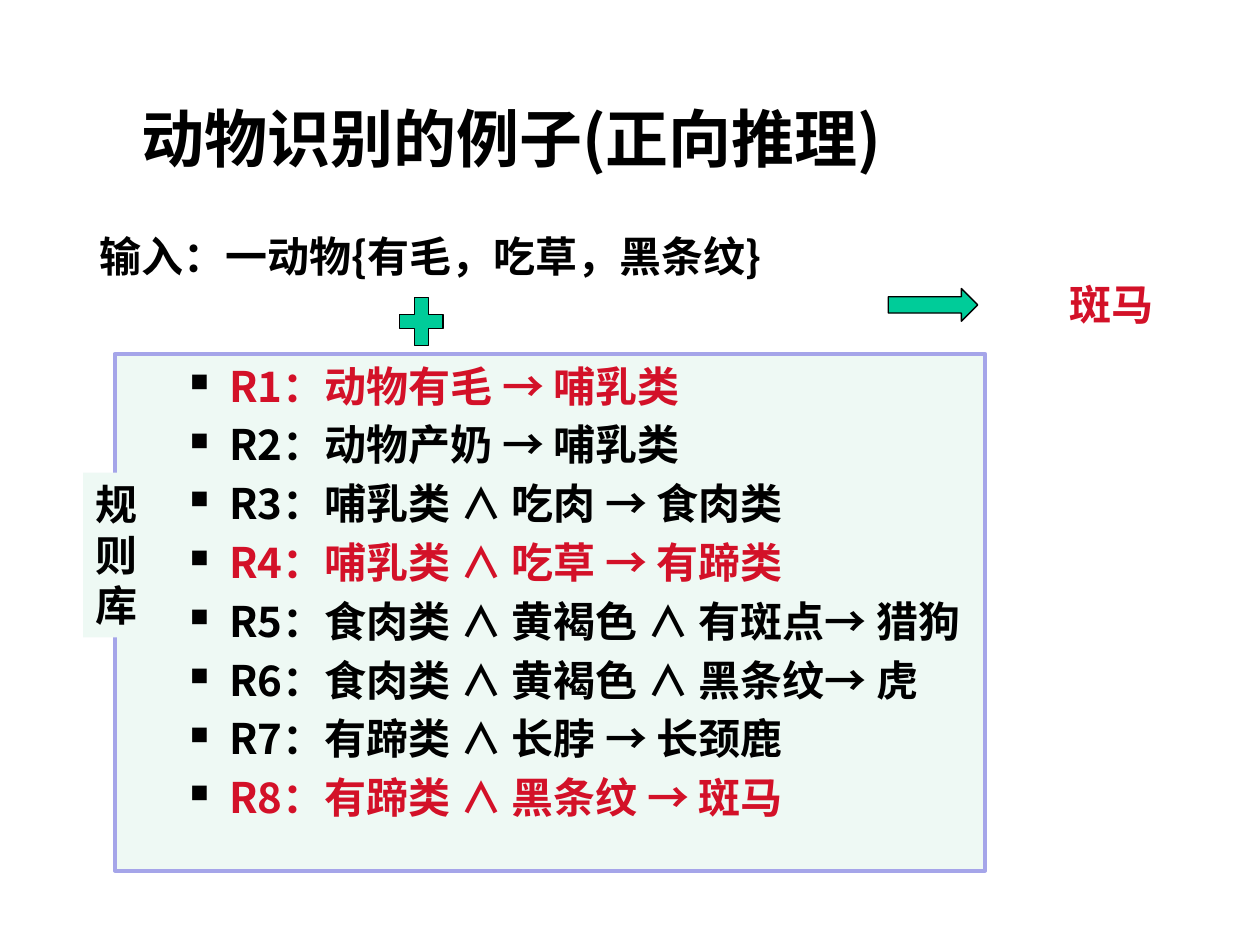
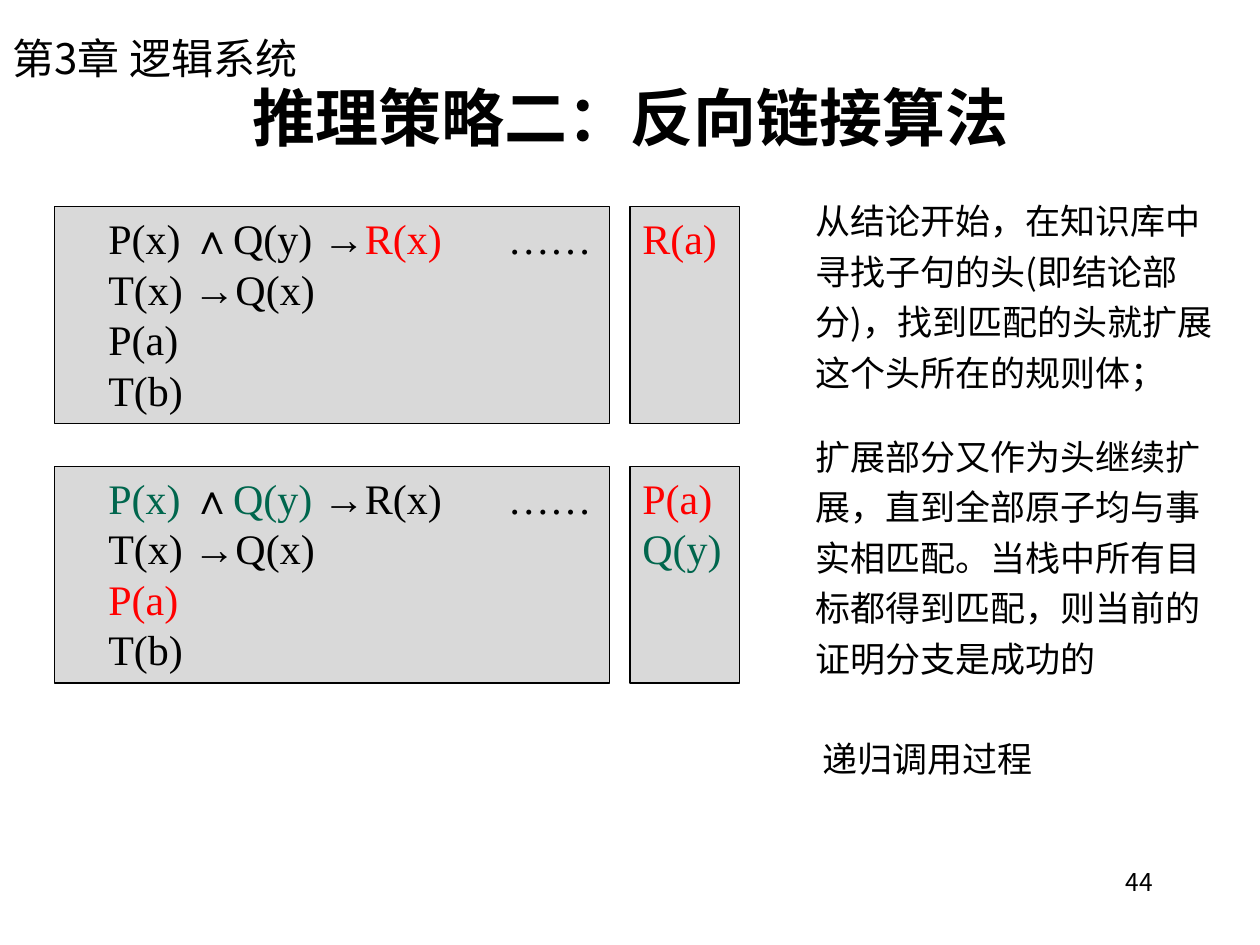
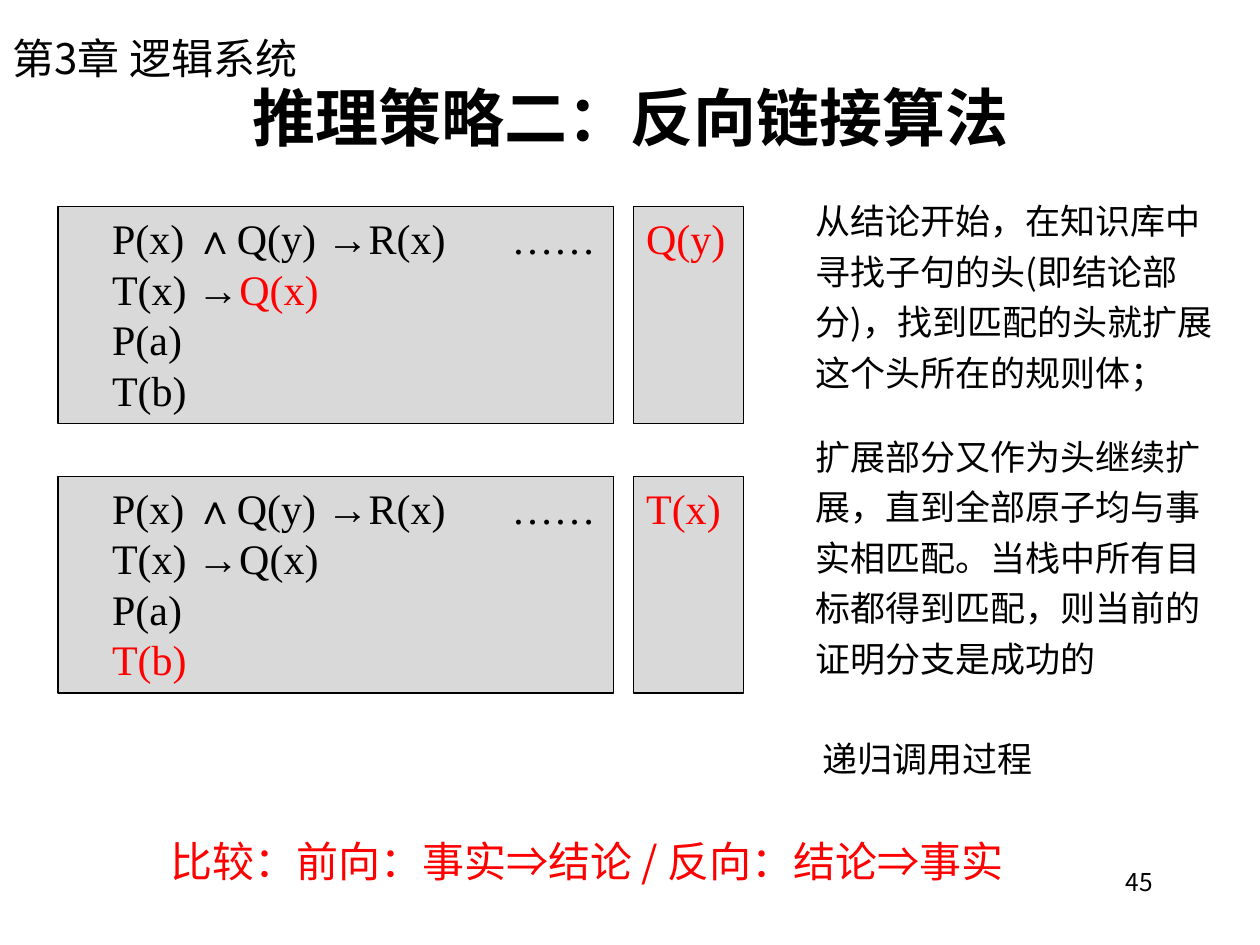
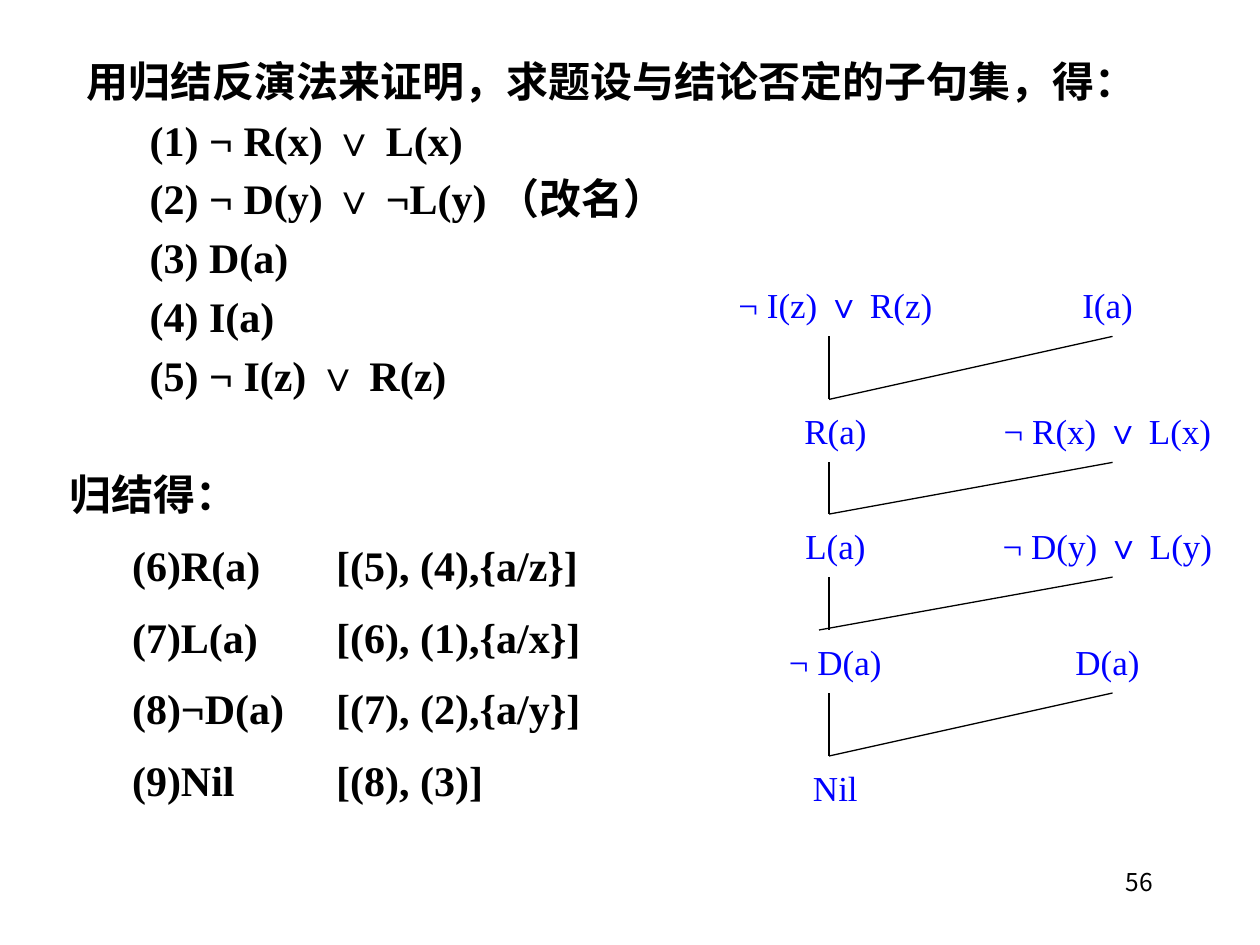
from lxml.etree import SubElement
from pptx import Presentation
from pptx.dml.color import RGBColor
from pptx.enum.shapes import MSO_CONNECTOR as Link, MSO_SHAPE as Kind
from pptx.enum.text import MSO_ANCHOR as Anchor, MSO_AUTO_SIZE as Fit, PP_ALIGN as Align
from pptx.oxml.ns import qn
from pptx.util import Inches, Pt

SANS = "Noto Sans CJK SC"
SERIF = "Times New Roman"
PAGE = "Noto Sans CJK KR"
BLACK, RED, GREEN, BLUE = "000000", "FF0000", "00664D", "0000FF"
ROSE, MINT, TEAL, LILAC, GREY = "D31128", "EEF9F4", "00CC99", "A5A5E9", "D9D9D9"

HEAD = "从结论开始，在知识库中寻找子句的头(即结论部分)，找到匹配的头就扩展这个头所在的规则体；"
GOAL = "扩展部分又作为头继续扩展，直到全部原子均与事实相匹配。当栈中所有目标都得到匹配，则当前的证明分支是成功的"


def hue(code):
    return RGBColor.from_string(code)


def put(shape, paras, size=24, font=SANS, color=BLACK, bold=False, align=Align.LEFT,
        anchor=Anchor.TOP, inset=0.1, wrap=True, lead=1.0, gap=0, tabs=(), bullet=None):
    frame = shape.text_frame
    frame.word_wrap = wrap
    frame.auto_size = Fit.NONE
    frame.vertical_anchor = anchor
    frame.margin_left, frame.margin_right = Inches(inset), Inches(0.1)
    frame.margin_top = frame.margin_bottom = Inches(0.05)
    for i, runs in enumerate(paras):
        para = frame.add_paragraph() if i else frame.paragraphs[0]
        para.alignment = align
        para.line_spacing = lead
        para.space_before = Pt(gap if i else 0)
        if bullet:
            mark(para, *bullet)
        if tabs:
            stops(para, tabs)
        for text, tint in [(runs, color)] if isinstance(runs, str) else runs:
            add_run(para, text, size, font, tint, bold)


def add_run(para, text, size, font, color, bold):
    run = para.add_run()
    run.text = text
    run.font.size = Pt(size)
    run.font.name = font
    run.font.bold = bold
    run.font.color.rgb = hue(color)
    face = SANS if font == SERIF else font
    SubElement(run.font._element, qn("a:ea"), typeface=face)


def mark(para, sign, left, hang):
    props = para._p.get_or_add_pPr()
    props.set("marL", str(Inches(left)))
    props.set("indent", str(Inches(-hang)))
    tint = SubElement(props, qn("a:buClr"))
    SubElement(tint, qn("a:srgbClr"), val=BLACK)
    SubElement(props, qn("a:buSzPct"), val="60000")
    SubElement(props, qn("a:buChar"), char=sign)


def stops(para, tabs):
    row = SubElement(para._p.get_or_add_pPr(), qn("a:tabLst"))
    for tab in tabs:
        SubElement(row, qn("a:tab"), pos=str(Inches(tab)), algn="l")


def label(shapes, at, paras, **style):
    box = shapes.add_textbox(*map(Inches, at))
    put(box, paras, **style)


def block(slide, kind, at, fill, line=None, width=0.75):
    shape = slide.shapes.add_shape(kind, *map(Inches, at))
    shape.shadow.inherit = False
    shape.fill.solid()
    shape.fill.fore_color.rgb = hue(fill)
    if line:
        shape.line.color.rgb = hue(line)
        shape.line.width = Pt(width)
    else:
        shape.line.fill.background()
    return shape


def stroke(shapes, start, end):
    line = shapes.add_connector(Link.STRAIGHT, *map(Inches, start + end))
    line.line.color.rgb = hue(BLACK)
    line.line.width = Pt(0.75)
    SubElement(line._element.spPr, qn("a:effectLst"))


def titled(deck, text, at, **style):
    slide = deck.slides.add_slide(deck.slide_layouts[5])
    title = slide.shapes.title
    title.left, title.top, title.width, title.height = map(Inches, at)
    put(title, [text], size=36, bold=True, **style)
    return slide


def number(slide, page):
    label(slide.shapes, (7.17, 6.83, 2.08, 0.5), [page], size=14, font=PAGE, align=Align.RIGHT)


def rules(deck):
    slide = titled(deck, "动物识别的例子(正向推理)", (0.35, 0.6, 8.5, 0.84),
                   anchor=Anchor.BOTTOM, inset=0.77)
    base = block(slide, Kind.RECTANGLE, (0.91, 2.81, 6.91, 4.1), MINT, LILAC, 2.25)
    lines = [
        [("R1：动物有毛 → 哺乳类", ROSE)],
        "R2：动物产奶 → 哺乳类",
        "R3：哺乳类 ∧ 吃肉 → 食肉类",
        [("R4：哺乳类 ∧ 吃草 → 有蹄类", ROSE)],
        "R5：食肉类 ∧ 黄褐色 ∧ 有斑点→ 猎狗",
        "R6：食肉类 ∧ 黄褐色 ∧ 黑条纹→ 虎",
        "R7：有蹄类 ∧ 长脖 → 长颈鹿",
        [("R8：有蹄类 ∧ 黑条纹 → 斑马", ROSE)],
    ]
    put(base, lines, bold=True, gap=4.8, bullet=("■", 0.81, 0.31))
    label(slide.shapes, (0.69, 1.78, 7.14, 0.5), ["输入：一动物{有毛，吃草，黑条纹}"], bold=True)
    side = block(slide, Kind.RECTANGLE, (0.66, 3.75, 0.47, 1.31), MINT)
    put(side, ["规则库"], bold=True)
    block(slide, Kind.MATH_PLUS, (3.11, 2.29, 0.47, 0.52), TEAL, BLACK)
    block(slide, Kind.RIGHT_ARROW, (7.05, 2.29, 0.71, 0.26), TEAL, BLACK)
    label(slide.shapes, (7.89, 2.16, 1.38, 0.5), ["斑马"], color=ROSE, bold=True, inset=0.6)


def chain(deck, page, left, steps):
    slide = titled(deck, "推理策略二：反向链接算法", (0.75, 0.52, 8.5, 0.8),
                   align=Align.CENTER, anchor=Anchor.MIDDLE)
    number(slide, page)
    label(slide.shapes, (0, 0.21, 2.56, 0.5), ["第3章 逻辑系统"])
    notes = [((5.87, 1.47, 4.02, 1.81), HEAD), ((5.87, 3.34, 3.78, 2.12), GOAL),
             ((5.93, 5.74, 4.57, 0.47), "递归调用过程")]
    for at, text in notes:
        label(slide.shapes, at, [text], size=20, inset=0.6, lead=1.2)
    for top, facts, stack in steps:
        base = block(slide, Kind.RECTANGLE, (left, top, 4.41, 1.72), GREY, BLACK)
        put(base, facts, font=SERIF, inset=0.43, tabs=[3.17])
        goals = block(slide, Kind.RECTANGLE, (left + 4.57, top, 0.87, 1.72), GREY, BLACK)
        put(goals, stack, font=SERIF, color=RED)
    return slide


def chains(deck):
    rule, link, fact, last = "P(x) ∧Q(y) →R(x)\t……", "T(x) →Q(x)", "P(a)", "T(b)"
    match = [("P(x) ∧Q(y) →", BLACK), ("R(x)", RED), ("\t……", BLACK)]
    spread = [("P(x)", GREEN), (" ∧", BLACK), ("Q(y)", GREEN), (" →R(x)\t……", BLACK)]
    chain(deck, "44", 0.43, [
        (1.64, [match, link, fact, last], ["R(a)"]),
        (3.7, [spread, link, [(fact, RED)], last], ["P(a)", [("Q(y)", GREEN)]]),
    ])
    slide = chain(deck, "45", 0.46, [
        (1.64, [rule, [("T(x) →", BLACK), ("Q(x)", RED)], fact, last], ["Q(y)"]),
        (3.78, [rule, link, fact, [(last, RED)]], ["T(x)"]),
    ])
    label(slide.shapes, (0.75, 6.5, 7.95, 0.54), ["比较：前向：事实⇒结论 / 反向：结论⇒事实"],
          color=RED, inset=0.6, lead=1.2)


def tree(slide):
    shapes = slide.shapes.add_group_shape().shapes
    rows = [
        (2.17, "¬ I(z) ∨ R(z)", "I(a)", 6.58),
        (3.17, "R(a)", "¬ R(x) ∨ L(x)", 6.58),
        (4.08, "L(a)", "¬ D(y) ∨ L(y)", 6.5),
        (5, "¬ D(a)", "D(a)", 6.58),
        (6, "Nil", None, None),
    ]
    for top, near, far, _ in rows:
        for left, text in ((5.67, near), (7.83, far)):
            if text:
                label(shapes, (left, top, 1.92, 0.5), [text], size=20, font=SERIF, color=BLUE,
                      align=Align.CENTER, anchor=Anchor.MIDDLE, wrap=False)
    for (top, _, _, foot), (end, *_) in zip(rows, rows[1:]):
        stroke(shapes, (6.58, top + 0.5), (6.58, end))
        stroke(shapes, (8.83, top + 0.5), (foot, end))


def proof(deck):
    slide = deck.slides.add_slide(deck.slide_layouts[6])
    number(slide, "56")
    given = [
        "用归结反演法来证明，求题设与结论否定的子句集，得：",
        "\t(1) ¬ R(x) ∨ L(x)",
        "\t(2) ¬ D(y) ∨ ¬L(y) （改名）",
        "\t(3) D(a)",
        "\t(4) I(a)",
        "\t(5) ¬ I(z) ∨ R(z)",
    ]
    label(slide.shapes, (0.59, 0.39, 9, 2.28), given, font=SERIF, bold=True, gap=4.8, tabs=[0.5])
    steps = [
        "归结得：",
        "\t(6)R(a)\t[(5), (4),{a/z}]",
        "\t(7)L(a)\t[(6), (1),{a/x}]",
        "\t(8)¬D(a)\t[(7), (2),{a/y}]",
        "\t(9)Nil\t[(8), (3)]",
    ]
    label(slide.shapes, (0.45, 3.67, 5, 2.9), steps, font=SERIF, bold=True, gap=12,
          tabs=[0.5, 2.12])
    tree(slide)


def main():
    deck = Presentation()
    deck.slide_width, deck.slide_height = Inches(10), Inches(7.5)
    rules(deck)
    chains(deck)
    proof(deck)
    deck.save("out.pptx")


if __name__ == "__main__":
    main()
